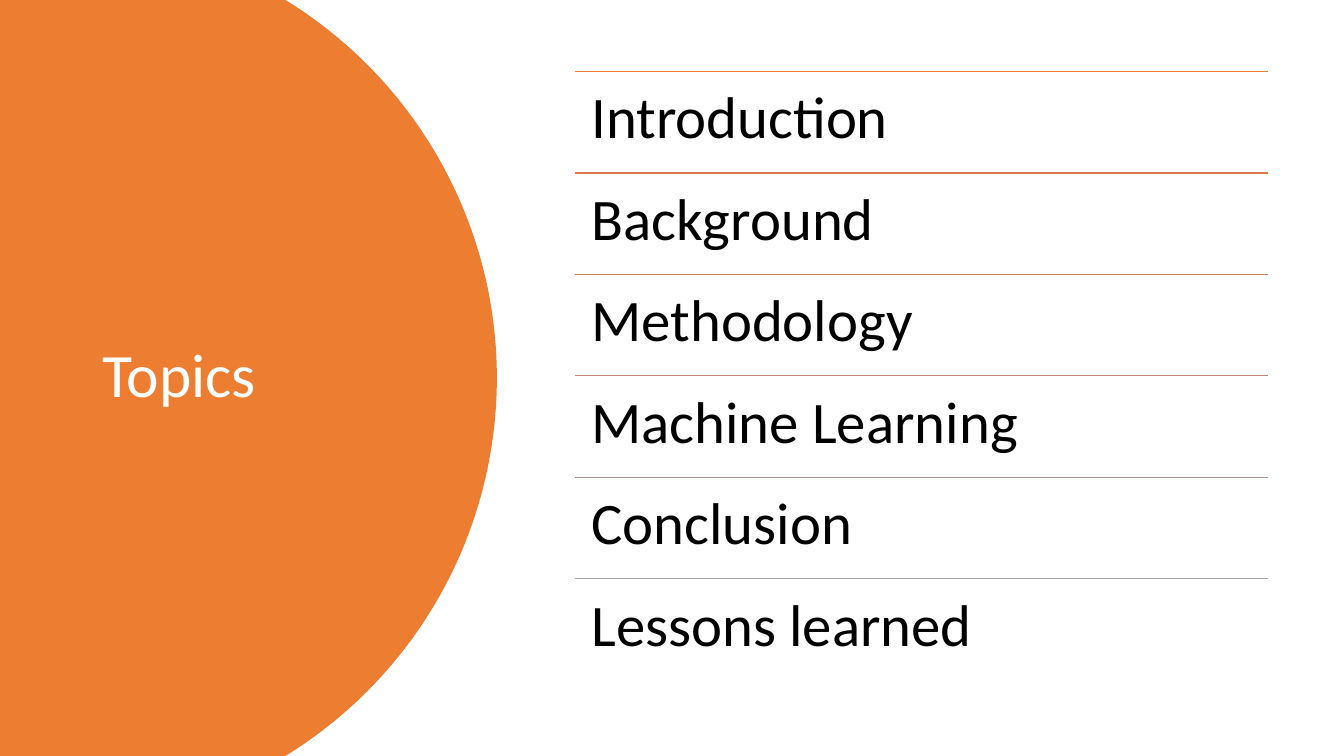
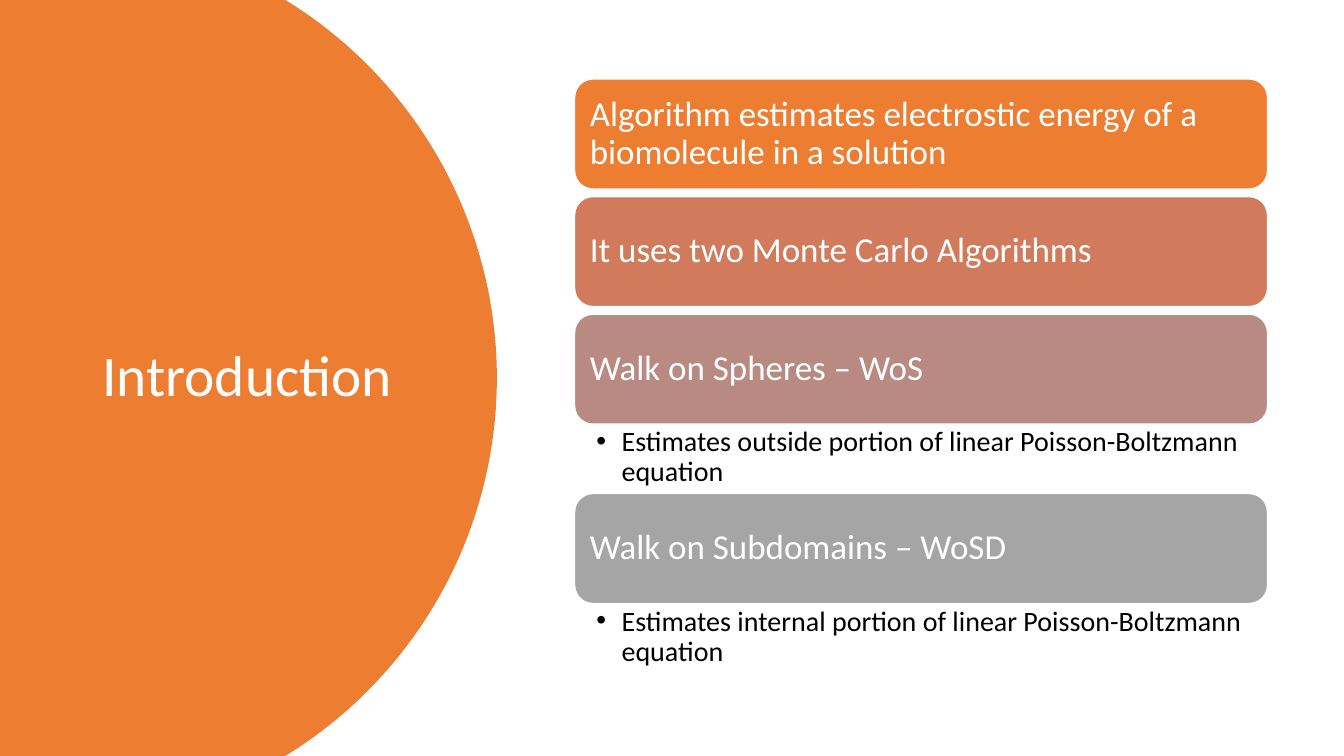
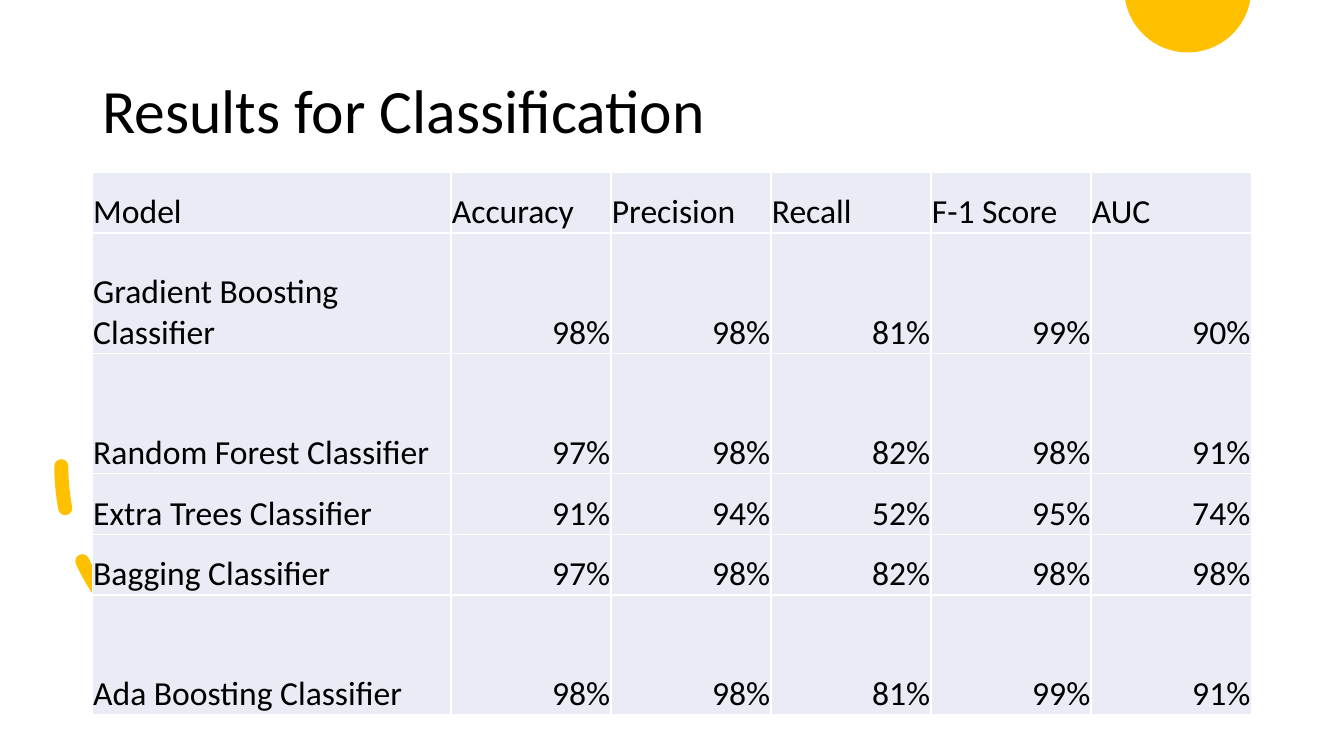
from math import asin, cos, degrees, radians, sin

from lxml.etree import SubElement
from pptx import Presentation
from pptx.dml.color import RGBColor
from pptx.enum.dml import MSO_LINE
from pptx.enum.shapes import MSO_CONNECTOR, MSO_SHAPE
from pptx.enum.text import MSO_ANCHOR, PP_ALIGN
from pptx.oxml import parse_xml
from pptx.oxml.ns import nsdecls, qn
from pptx.util import Inches, Pt

CELL = Inches(1) // 12
COLS, ROWS = 160, 90
FONT = "Calibri"
ORANGE, GOLD, GRAY = "ED7D31", "FFC000", "A5A5A5"
WHITE, BLACK, PALE = "FFFFFF", "000000", "E9EBF5"
LEFT, LIST_LEFT, LIST_WIDTH = 11, 68.4, 82.5


def rgb(value):
    """Turn a hex string into a colour."""
    return RGBColor.from_string(value)


def cells(*values):
    """Turn grid cells into slide lengths."""
    return [round(v * CELL) for v in values]


def write(holder, text, size=24, color=BLACK, anchor=MSO_ANCHOR.MIDDLE,
          align=PP_ALIGN.LEFT, margins=(1.2, 0.6, 1.2, 0.6), spacing=0.9, indent=0):
    """Fill a text frame or table cell with one formatted paragraph."""
    holder.vertical_anchor = anchor
    (holder.margin_left, holder.margin_top,
     holder.margin_right, holder.margin_bottom) = cells(*margins)
    p = getattr(holder, "text_frame", holder).paragraphs[0]
    p.alignment, p.line_spacing = align, spacing
    if indent:
        pPr = p._p.get_or_add_pPr()
        width = cells(indent)[0]
        pPr.set("marL", str(width))
        pPr.set("indent", str(-width))
        SubElement(pPr, qn("a:buFont")).set("typeface", "Arial")
        SubElement(pPr, qn("a:buChar")).set("char", "•")
    r = p.add_run()
    r.text = text
    r.font.name, r.font.size = FONT, Pt(size)
    r.font.color.rgb = rgb(color)


class Deck:
    """Holds the style and the current slide."""

    def __init__(self):
        """Start an empty widescreen presentation."""
        self.prs = Presentation()
        self.prs.slide_width, self.prs.slide_height = cells(COLS, ROWS)

    def slide(self):
        """Add a blank slide."""
        self.shapes = self.prs.slides.add_slide(self.prs.slide_layouts[6]).shapes

    def text(self, box, text, **fmt):
        """Add a wrapped text box."""
        tf = self.shapes.add_textbox(*cells(*box)).text_frame
        tf.word_wrap = True
        write(tf, text, **fmt)

    def disc(self, cx, cy, radius, start, end, color, corners=()):
        """Add the part of a disc between two angles, closed through corners."""
        steps = 120
        angles = [radians(start + (end - start) * i / steps) for i in range(steps + 1)]
        points = [cells(cx + radius * cos(a), cy + radius * sin(a)) for a in angles]
        points += [cells(*corner) for corner in corners]
        builder = self.shapes.build_freeform(*points[0])
        builder.add_line_segments(points[1:], close=True)
        s = builder.convert_to_shape()
        s.shadow.inherit = False
        s.fill.solid()
        s.fill.fore_color.rgb = rgb(color)
        s.line.fill.background()

    def side_title(self, text, size):
        """Add the orange side panel with its title."""
        radius, middle = 52.8, ROWS / 2
        half = degrees(asin(middle / radius))
        self.disc(6.36, middle, radius, -half, half, ORANGE, [(0, ROWS), (0, 0)])
        self.text((LEFT, 8.4, 38.8, 73.1), text, size=size, color=WHITE)

    def rule(self, y, color):
        """Add a thin line across the list column."""
        s = self.shapes.add_connector(
            MSO_CONNECTOR.STRAIGHT, *cells(LIST_LEFT, y, LIST_LEFT + LIST_WIDTH, y))
        s.line.color.rgb, s.line.width = rgb(color), Pt(1)
        SubElement(s._element.spPr, qn("a:effectLst"))

    def card(self, y, height, text, color):
        """Add a rounded card with white text."""
        s = self.shapes.add_shape(MSO_SHAPE.ROUNDED_RECTANGLE,
                                  *cells(LIST_LEFT, y, LIST_WIDTH, height))
        s.shadow.inherit = False
        s.fill.solid()
        s.fill.fore_color.rgb = rgb(color)
        s.line.color.rgb, s.line.width = rgb(WHITE), Pt(1)
        write(s.text_frame, text, size=25, color=WHITE, margins=(1.2,) * 4)

    def dashed_arc(self, x, y, size):
        """Add a dashed quarter circle from the left point to the bottom."""
        s = self.shapes.add_shape(MSO_SHAPE.ARC, *cells(x, y, size, size))
        s.shadow.inherit = False
        s.fill.background()
        s.rotation = 90
        s._element.spPr.find(qn("a:xfrm")).set("flipV", "1")
        s.line.color.rgb, s.line.width = rgb(GOLD), Pt(10)
        s.line.dash_style = MSO_LINE.DASH
        s.line._get_or_add_ln().set("cap", "rnd")

    def table(self, x, y, widths, heights, rows):
        """Add a pale table with white borders and right-aligned values."""
        table = self.shapes.add_table(
            len(rows), len(widths), *cells(x, y, sum(widths), sum(heights))).table
        table.first_row = table.horz_banding = False
        for column, width in zip(table.columns, cells(*widths)):
            column.width = width
        for row, height in zip(table.rows, cells(*heights)):
            row.height = height
        for i, row in enumerate(rows):
            for j, text in enumerate(row):
                cell = table.cell(i, j)
                write(cell, text, anchor=MSO_ANCHOR.BOTTOM, spacing=1.0,
                      margins=(0.1, 0.1, 0.1, 0),
                      align=PP_ALIGN.RIGHT if i and j else PP_ALIGN.LEFT)
                cell.fill.solid()
                cell.fill.fore_color.rgb = rgb(PALE)
                tcPr = cell._tc.get_or_add_tcPr()
                for k, side in enumerate("LRTB"):
                    tcPr.insert(k, parse_xml(
                        f'<a:ln{side} w="12700" {nsdecls("a")}><a:solidFill>'
                        f'<a:srgbClr val="{WHITE}"/></a:solidFill></a:ln{side}>'))


def topics(deck):
    """Build the list of topics."""
    deck.slide()
    deck.side_title("Topics", 44)
    items = [("Introduction", ORANGE), ("Background", "DC7A4B"),
             ("Methodology", "CC7D64"), ("Machine Learning", "BD867B"),
             ("Conclusion", "B09391"), ("Lessons learned", GRAY)]
    top, pitch = 8.5, 12.08
    for i, (text, color) in enumerate(items):
        y = top + i * pitch
        deck.rule(y, color)
        deck.text((LIST_LEFT, y, LIST_WIDTH, pitch), text, size=42,
                  anchor=MSO_ANCHOR.TOP, margins=(2,) * 4)


def introduction(deck):
    """Build the cards of the introduction."""
    deck.slide()
    deck.side_title("Introduction", 41)
    cards = [
        ("Algorithm estimates electrostic energy of a biomolecule in a solution", ORANGE, ""),
        ("It uses two Monte Carlo Algorithms", "D17B5C", ""),
        ("Walk on Spheres – WoS", "B98A82",
         "Estimates outside portion of linear Poisson-Boltzmann equation"),
        ("Walk on Subdomains – WoSD", GRAY,
         "Estimates internal portion of linear Poisson-Boltzmann equation"),
    ]
    y, height, gap, note_height = 9.4, 13.1, 0.9, 8.25
    for text, color, note in cards:
        deck.card(y, height, text, color)
        y += height
        if note:
            deck.text((LIST_LEFT, y, LIST_WIDTH, note_height), note, size=20,
                      anchor=MSO_ANCHOR.TOP, margins=(2.6, 0.4, 2.3, 0.4), indent=3)
        y += note_height if note else gap


def results(deck):
    """Build the table of results."""
    deck.slide()
    radius, rise = 7.56, 1.32
    tilt = degrees(asin(rise / radius))
    deck.disc(141.4, -rise, radius, tilt, 180 - tilt, GOLD)
    deck.text((LEFT, 4.8, 138, 17.4), "Results for Classification", size=44)
    deck.dashed_arc(7.3, 28.7, 53.6)
    low, high = 7.25, 14.3
    deck.table(LEFT, 20.5, [42.7] + [19.05] * 5, [low, high, high, low, low, high], [
        ("Model", "Accuracy", "Precision", "Recall", "F-1 Score", "AUC"),
        ("Gradient Boosting Classifier", "98%", "98%", "81%", "99%", "90%"),
        ("Random Forest Classifier", "97%", "98%", "82%", "98%", "91%"),
        ("Extra Trees Classifier", "91%", "94%", "52%", "95%", "74%"),
        ("Bagging Classifier", "97%", "98%", "82%", "98%", "98%"),
        ("Ada Boosting Classifier", "98%", "98%", "81%", "99%", "91%"),
    ])


def main():
    """Build and save the presentation."""
    deck = Deck()
    for build in (topics, introduction, results):
        build(deck)
    deck.prs.save("out.pptx")


if __name__ == "__main__":
    main()
